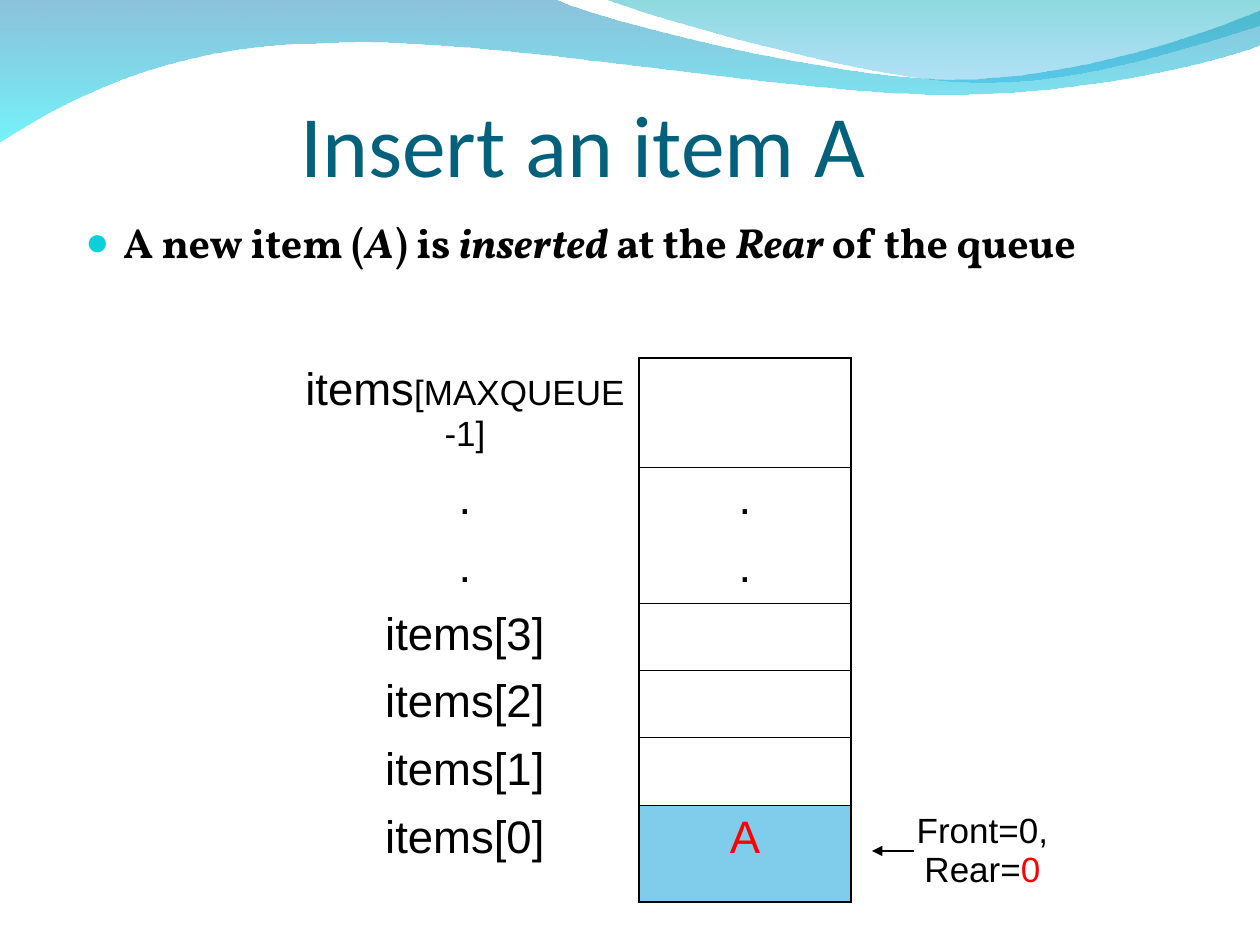
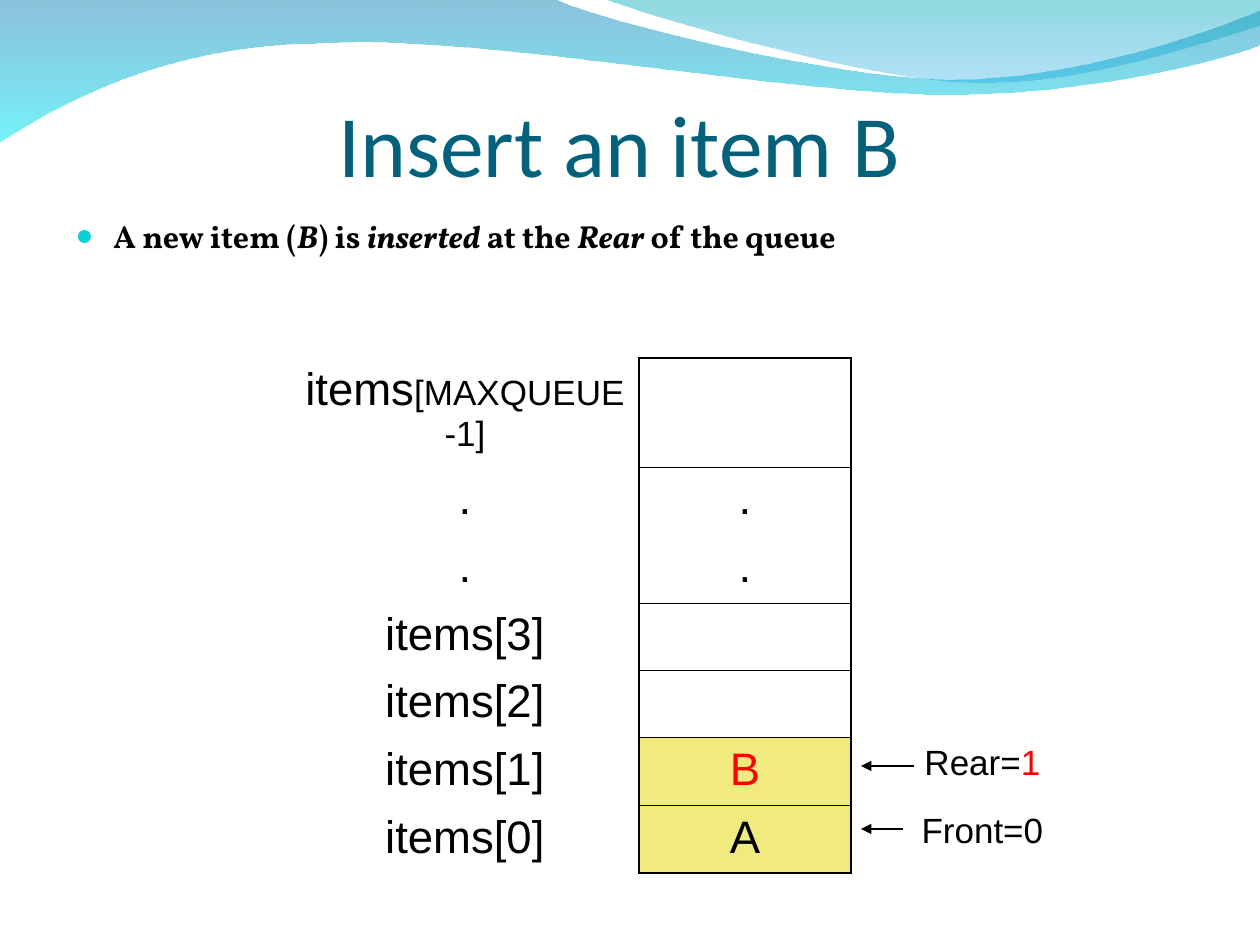
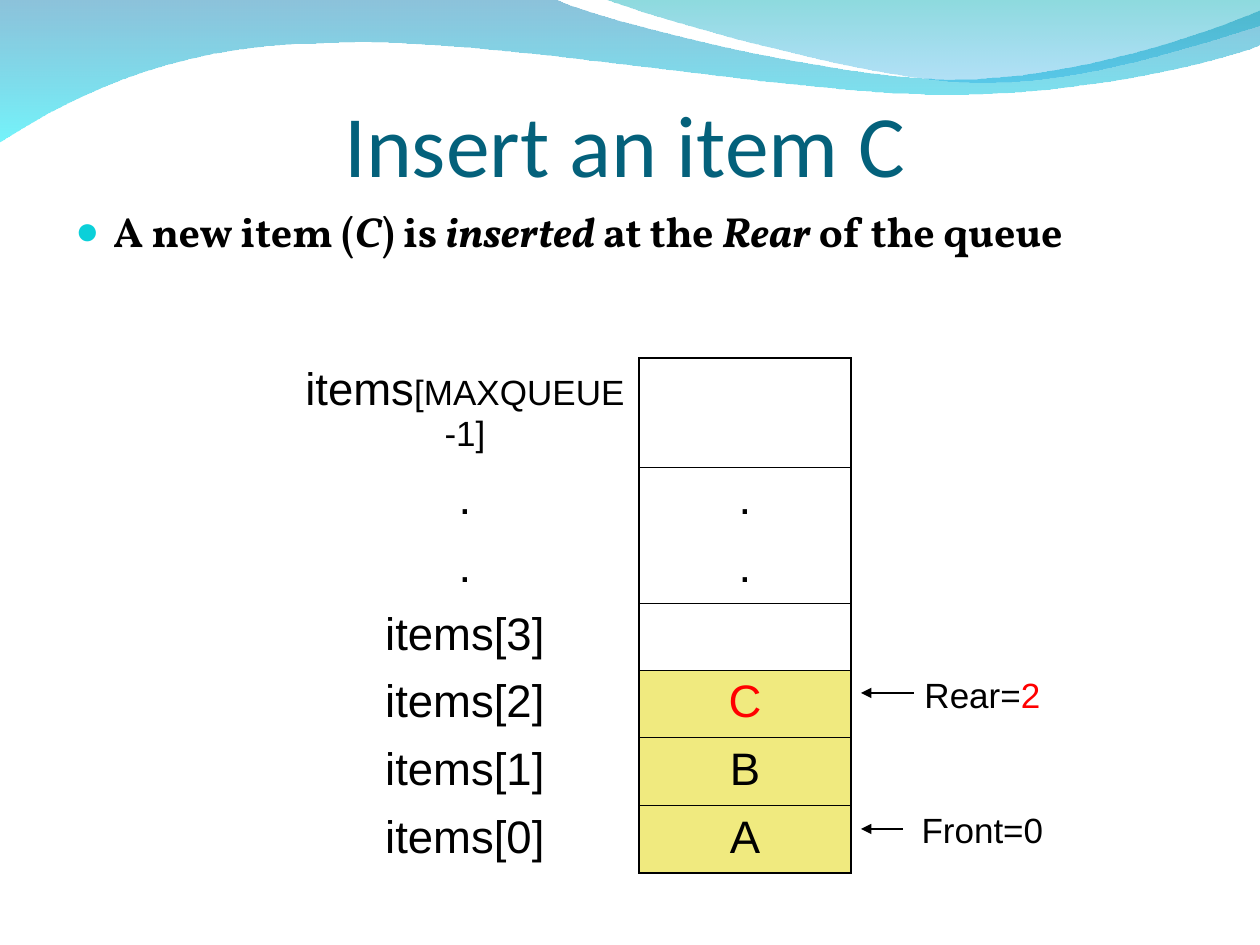
from lxml.etree import SubElement
from pptx import Presentation
from pptx.dml.color import RGBColor
from pptx.enum.shapes import MSO_CONNECTOR
from pptx.enum.text import MSO_ANCHOR, MSO_AUTO_SIZE, PP_ALIGN
from pptx.oxml.ns import qn
from pptx.util import Inches, Pt

PX = 914400 // 126

TITLE_COLOR = "04617B"
BULLET_COLOR = "0BD0D9"
BLACK = "000000"
RED = "FF0000"
BLUE = "009DD9"
YELLOW = "E2D700"

# Each band: start point, then lines (one point) and curves (three points);
# its gradient stops are (colour, opacity in percent).
BANDS = [
    ((0, -1),
     [[(554, -1)],
      [(600, 21), (837, 79), (955, 79)],
      [(1075, 79), (1207, 33), (1260, 11)],
      [(1261, 45)],
      [(1238, 55), (1096, 96), (940, 94)],
      [(784, 94), (481, 35), (324, 43)],
      [(163, 44), (58, 105), (-1, 142)]],
     [("0079AF", 45), ("00EBF8", 55)]),
    ((604, -1),
     [[(641, 14), (859, 78), (969, 82)],
      [(1079, 87), (1211, 40), (1260, 26)],
      [(1260, 0)]],
     [("00ADB6", 45), ("009BE5", 30)]),
]

COLUMN_WIDTHS = [348, 212, 263]
ROW_HEIGHTS = [109, 68, 68, 67, 67, 68]
LAST_ROW = len(ROW_HEIGHTS)
LABELS = [".", ".", "items[3]", "items[2]", "items[1]", "items[0]"]
FRONT_ARROW = (903, 861, 829)

# Notes are keyed by queue index; arrows are (start x, tip x, y).
SLIDES = [
    dict(queue="A", title_box=(63, 73, 1040, 122), point_box=(73, 210, 1155, 95),
         point_size=24, fill=BLUE, last_height=96,
         notes={0: [("Front=0, Rear=", BLACK), ("0", RED)]},
         arrows=[(914, 872, 851)]),
    dict(queue="AB", title_box=(63, 53, 1113, 142), point_box=(63, 210, 1155, 95),
         point_size=18.2, fill=YELLOW, last_height=67,
         notes={0: [("Front=0", BLACK)], 1: [("Rear=", BLACK), ("1", RED)]},
         arrows=[FRONT_ARROW, (914, 861, 766)]),
    dict(queue="ABC", title_box=(63, 53, 1124, 142), point_box=(63, 199, 1155, 116),
         point_size=24, fill=YELLOW, last_height=67,
         notes={0: [("Front=0", BLACK)], 2: [("Rear=", BLACK), ("2", RED)]},
         arrows=[FRONT_ARROW, (914, 861, 693)]),
]


def rgb(value):
    return RGBColor.from_string(value)


def write_cell(cell, parts, size):
    """Write centred (text, colour) parts into a table cell."""
    paragraph = cell.text_frame.paragraphs[0]
    paragraph.alignment = PP_ALIGN.CENTER
    paragraph.font.name = "Arial"
    paragraph.font.size = Pt(size)
    for text, color in parts:
        run = paragraph.add_run()
        run.text = text
        run.font.color.rgb = rgb(color)
    return paragraph


presentation = Presentation()
presentation.slide_width = Inches(10)
presentation.slide_height = Inches(7.5)
layout = presentation.slide_layouts[5]
slides = [presentation.slides.add_slide(layout) for _ in SLIDES]

# Bands are built on a slide, then moved behind everything in the shared layout.
for position, (start, segments, stops) in enumerate(BANDS):
    builder = slides[0].shapes.build_freeform(*start, scale=PX)
    builder.add_line_segments([point for segment in segments for point in segment])
    band = builder.convert_to_shape()
    # Bend each group of three line segments into one Bezier curve.
    lines = iter(list(band.element.iter(qn("a:lnTo"))))
    for segment in segments:
        group = [next(lines) for _ in segment]
        if len(group) == 3:
            curve = group[0].makeelement(qn("a:cubicBezTo"))
            group[0].addprevious(curve)
            for line in group:
                curve.append(line[0])
                line.getparent().remove(line)
    band.shadow.inherit = False
    band.line.fill.background()
    band.fill.gradient()
    band.fill.gradient_angle = 270
    for stop, (color, _) in zip(band.fill.gradient_stops, stops):
        stop.color.rgb = rgb(color)
    for element, (_, opacity) in zip(band.element.iter(qn("a:srgbClr")), stops):
        SubElement(element, qn("a:alpha"), val=str(opacity * 1000))
    layout.shapes.element.insert(2 + position, band.element)

for slide, content in zip(slides, SLIDES):
    queue = content["queue"]
    newest = queue[-1]

    title = slide.shapes.title
    title.left, title.top, title.width, title.height = (
        length * PX for length in content["title_box"])
    frame = title.text_frame
    frame.text = f"Insert an item {newest}"
    frame.auto_size = MSO_AUTO_SIZE.NONE
    frame.vertical_anchor = MSO_ANCHOR.BOTTOM
    frame.margin_left = frame.margin_right = frame.margin_bottom = 0
    paragraph = frame.paragraphs[0]
    paragraph.alignment = PP_ALIGN.CENTER
    paragraph.font.name = "Calibri"
    paragraph.font.size = Pt(50)
    paragraph.font.color.rgb = rgb(TITLE_COLOR)

    point = slide.shapes.add_textbox(*(length * PX for length in content["point_box"]))
    point.text_frame.word_wrap = True
    paragraph = point.text_frame.paragraphs[0]
    properties = paragraph._p.get_or_add_pPr()
    properties.set("marL", str(38 * PX))
    properties.set("indent", str(-38 * PX))
    bullet_color = SubElement(properties, qn("a:buClr"))
    SubElement(bullet_color, qn("a:srgbClr"), val=BULLET_COLOR)
    SubElement(properties, qn("a:buSzPct"), val="95000")
    SubElement(properties, qn("a:buFont"), typeface="Arial")
    SubElement(properties, qn("a:buChar"), char="●")
    paragraph.font.name = "Vollkorn"
    paragraph.font.size = Pt(content["point_size"])
    paragraph.font.bold = True
    paragraph.font.color.rgb = rgb(BLACK)
    words = ["A new item (", newest, ") is ", "inserted ", "at the ", "Rear ", "of the queue"]
    for index, text in enumerate(words):
        run = paragraph.add_run()
        run.text = text
        run.font.italic = index % 2 == 1

    heights = ROW_HEIGHTS + [content["last_height"]]
    table = slide.shapes.add_table(
        len(heights), len(COLUMN_WIDTHS), 291 * PX, 358 * PX,
        sum(COLUMN_WIDTHS) * PX, sum(heights) * PX).table
    table.first_row = table.horz_banding = False
    for column, width in zip(table.columns, COLUMN_WIDTHS):
        column.width = width * PX
    for row, height in zip(table.rows, heights):
        row.height = height * PX

    for row in range(len(heights)):
        top = 1.08 if row == 0 else 0 if row == 2 else 0.45
        bottom = 1.08 if row == LAST_ROW else 0 if row == 1 else 0.45
        borders = [dict(R=1.08), dict(L=1.08, R=1.08, T=top, B=bottom), dict(L=1.08)]
        for column, widths in enumerate(borders):
            cell = table.cell(row, column)
            cell_properties = cell._tc.get_or_add_tcPr()
            for side in "LRTB":
                width = widths.get(side, 0)
                line = SubElement(cell_properties, qn(f"a:ln{side}"), w=str(Pt(width)))
                if width:
                    line_fill = SubElement(line, qn("a:solidFill"))
                    SubElement(line_fill, qn("a:srgbClr"), val=BLACK)
                else:
                    SubElement(line, qn("a:noFill"))
            cell.fill.background()

    paragraph = write_cell(table.cell(0, 0), [("items", BLACK), ("[MAXQUEUE-1]", BLACK)], 26)
    paragraph.runs[1].font.size = Pt(20)
    for row, label in enumerate(LABELS, start=1):
        write_cell(table.cell(row, 0), [(label, BLACK)], 26)
    for row in (1, 2):
        write_cell(table.cell(row, 1), [(".", BLACK)], 26)
    for index, item in enumerate(queue):
        cell = table.cell(LAST_ROW - index, 1)
        write_cell(cell, [(item, RED if item == newest else BLACK)], 26)
        cell.fill.solid()
        cell.fill.fore_color.rgb = rgb(content["fill"])
        fill_color = cell._tc.tcPr.find(f"{qn('a:solidFill')}/{qn('a:srgbClr')}")
        SubElement(fill_color, qn("a:alpha"), val="50000")
    for index, parts in content["notes"].items():
        write_cell(table.cell(LAST_ROW - index, 2), parts, 20)

    for start_x, tip_x, y in content["arrows"]:
        arrow = slide.shapes.add_connector(
            MSO_CONNECTOR.STRAIGHT, start_x * PX, y * PX, tip_x * PX, y * PX)
        arrow.line.color.rgb = rgb(BLACK)
        arrow.line.width = Pt(0.74)
        shape_properties = arrow.element.find(qn("p:spPr"))
        SubElement(shape_properties.find(qn("a:ln")), qn("a:tailEnd"), type="triangle")
        SubElement(shape_properties, qn("a:effectLst"))

presentation.save("out.pptx")
